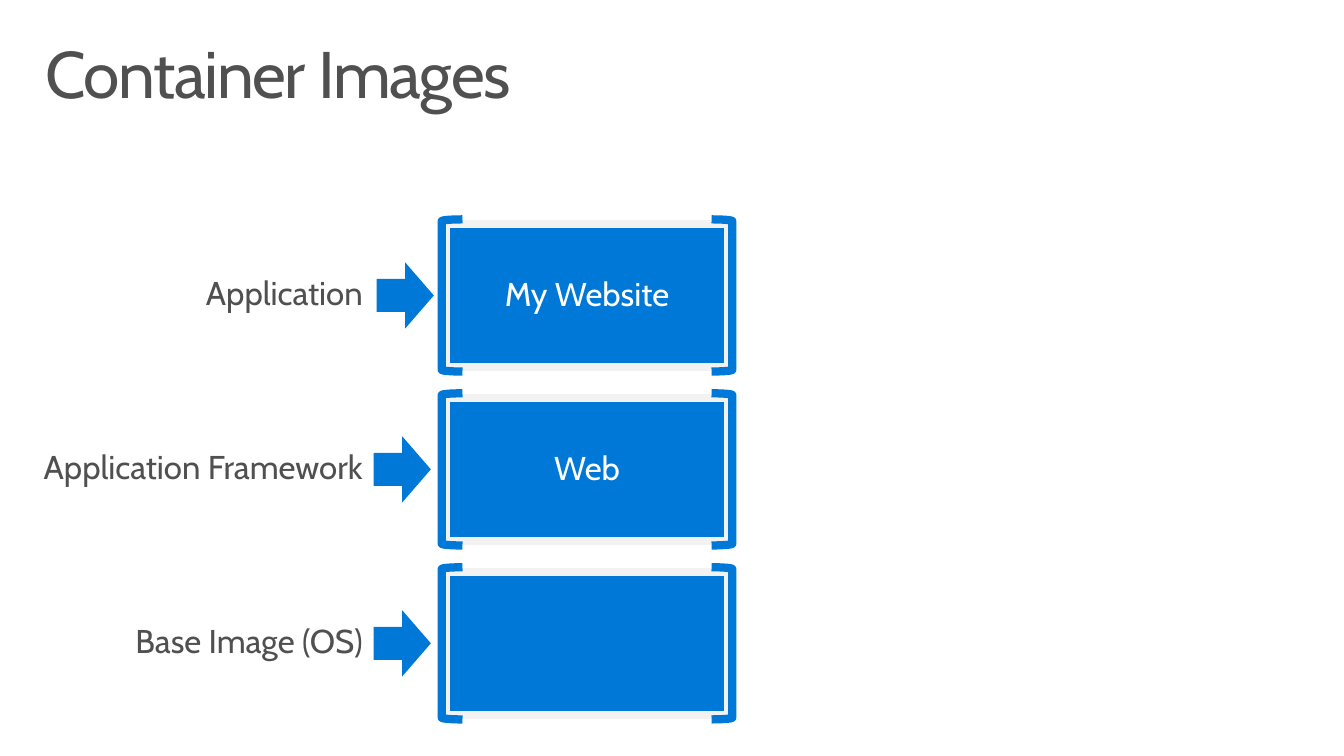
from pptx import Presentation
from pptx import util as u
from pptx.dml.color import RGBColor
from pptx.enum import shapes, text

BLUE = RGBColor(0x00, 0x78, 0xD7)
PALE = RGBColor(0xF2, 0xF2, 0xF2)
GREY = RGBColor(0x50, 0x50, 0x50)
WHITE = RGBColor(0xFF, 0xFF, 0xFF)
FONT = "Cabin"
SHAPE = shapes.MSO_SHAPE

WIDTH, HEIGHT = 13.6, 7.65
TOP, PITCH, LAYER_H = 2.22, 1.76, 1.54
BLOCK_X, BLOCK_W = 4.47, 2.94
LABEL_RIGHT, LABEL_W, LABEL_H = 3.87, 3.85, 0.69
ARROW_W, ARROW_H = 0.58, 0.67
# label, block text, arrow left
LAYERS = [
    ("Application", "My Website", 3.81),
    ("Application Framework", "Web", 3.78),
    ("Base Image (OS)", "", 3.78),
]


def inches(*lengths):
    return [u.Inches(n) for n in lengths]


def write(sp, words, size, color, align, inset, anchor):
    tf = sp.text_frame
    tf.word_wrap = True
    tf.vertical_anchor = anchor
    tf.margin_left, tf.margin_top, tf.margin_right, tf.margin_bottom = inches(*inset * 2)
    tf.text = words
    p = tf.paragraphs[0]
    p.alignment = align
    p.line_spacing = 0.9
    r = p.runs[0]
    r.font.name, r.font.size = FONT, u.Pt(size)
    r.font.color.rgb = color
    return p


def add_block_shape(parent, kind, box, fill=None, line=None):
    sp = parent.shapes.add_shape(kind, *inches(*box))
    sp.shadow.inherit = False
    if fill is None:
        sp.fill.background()
    else:
        sp.fill.solid()
        sp.fill.fore_color.rgb = fill
    if line is None:
        sp.line.fill.background()
    else:
        sp.line.color.rgb = line
        sp.line.width = u.Pt(6)
    return sp


def add_title(slide, words):
    sp = slide.shapes.title
    sp.left, sp.top, sp.width, sp.height = inches(0.3, 0.32, WIDTH - 0.6, 1)
    p = write(sp, words, 48, GREY, text.PP_ALIGN.LEFT, (0.16, 0.1), text.MSO_ANCHOR.TOP)
    p.runs[0].font._element.set("spc", "-100")


def add_bracketed_block(slide, x, y, w, h, words):
    group = slide.shapes.add_group_shape()
    margin, bracket_w = 0.045, 0.21
    sp = add_block_shape(group, SHAPE.RECTANGLE,
                         (x + margin, y + margin, w - 2 * margin, h - 2 * margin), BLUE, PALE)
    if words:
        write(sp, words, 24, WHITE, text.PP_ALIGN.CENTER, (0.2, 0.16), text.MSO_ANCHOR.MIDDLE)
    for kind, left in ((SHAPE.RIGHT_BRACKET, x + w - bracket_w), (SHAPE.LEFT_BRACKET, x)):
        add_block_shape(group, kind, (left, y, bracket_w, h), line=BLUE)


def add_layer(slide, y, label, words, arrow_x):
    """Place a label, its arrow and its block on one common middle line."""
    add_bracketed_block(slide, BLOCK_X, y, BLOCK_W, LAYER_H, words)
    middle = y + LAYER_H / 2
    tb = slide.shapes.add_textbox(
        *inches(LABEL_RIGHT - LABEL_W, middle - LABEL_H / 2, LABEL_W, LABEL_H))
    p = write(tb, label, 24, GREY, text.PP_ALIGN.RIGHT, (0.2, 0.16), text.MSO_ANCHOR.TOP)
    p.space_after = u.Pt(6)
    add_block_shape(slide, SHAPE.RIGHT_ARROW,
                    (arrow_x, middle - ARROW_H / 2, ARROW_W, ARROW_H), BLUE)


def main():
    prs = Presentation()
    prs.slide_width, prs.slide_height = inches(WIDTH, HEIGHT)
    slide = prs.slides.add_slide(prs.slide_layouts[5])
    add_title(slide, "Container Images")
    for i, layer in enumerate(LAYERS):
        add_layer(slide, TOP + i * PITCH, *layer)
    prs.save("out.pptx")


if __name__ == "__main__":
    main()
